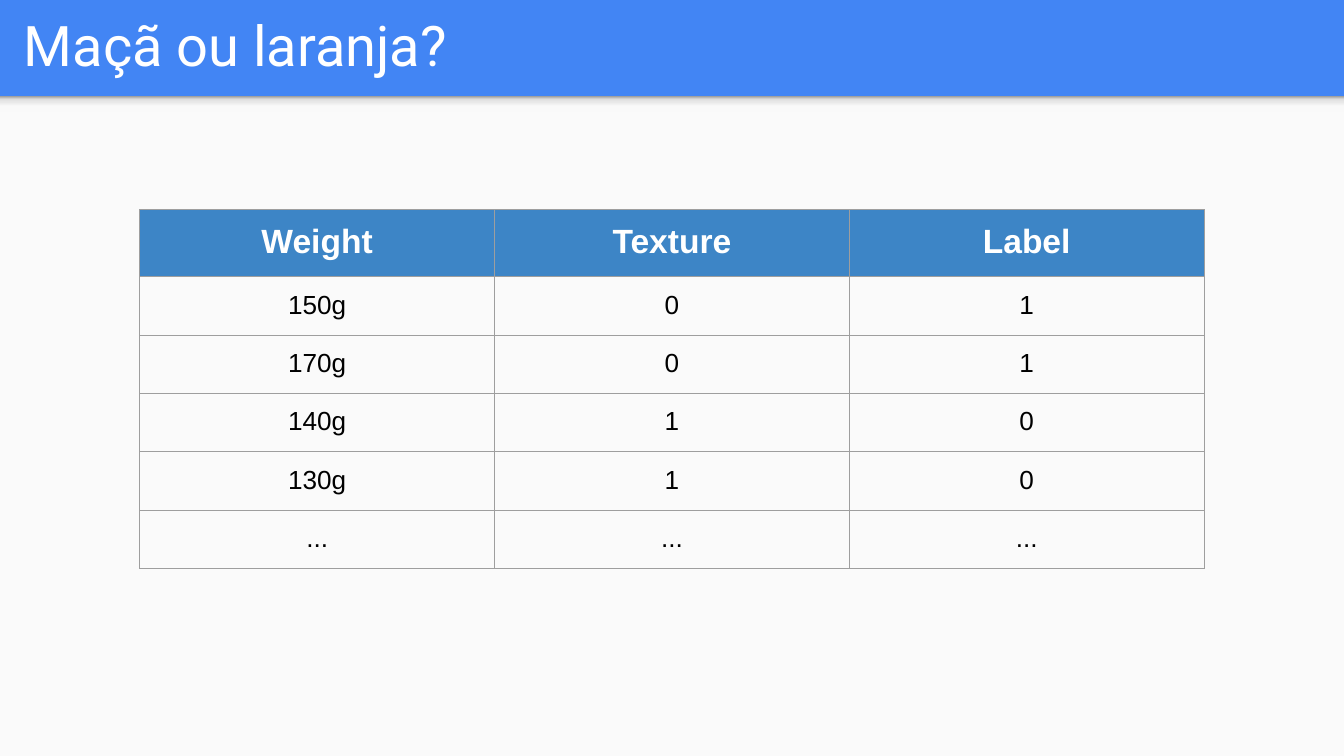
from lxml import etree
from pptx import Presentation
from pptx import util as u
from pptx.dml.color import RGBColor
from pptx.enum import shapes, text
from pptx.oxml import ns

COLORS = {
    "header": "4285F4",
    "body": "FAFAFA",
    "white": "FFFFFF",
    "black": "000000",
    "table_head": "3D85C6",
    "border": "9E9E9E",
}
SHADOW_STOPS = [(0, "999999"), (20, "DEDEDE"), (64, "F9F9F9"), (100, "F9F9F9")]
ROWS = [
    ["Weight", "Texture", "Label"],
    ["150g", "0", "1"],
    ["170g", "0", "1"],
    ["140g", "1", "0"],
    ["130g", "1", "0"],
    ["...", "...", "..."],
]
SLIDE_WIDTH = 10
SLIDE_HEIGHT = SLIDE_WIDTH * 9 / 16
BODY_HEIGHT = 4.91
BODY_TOP = SLIDE_HEIGHT - BODY_HEIGHT
COLUMN_WIDTH = 2.64
ROW_HEIGHT = 5 / 12
TABLE_FRAME = 3.28


def rgb(name):
    return RGBColor.from_string(COLORS[name])


def add_node(parent, tag, **attributes):
    return etree.SubElement(parent, ns.qn(tag), attributes)


def add_span(para, words, font, size, color, bold=False):
    span = para.add_run()
    span.text = words
    span.font.name = font
    span.font.size = u.Pt(size)
    span.font.bold = bold
    span.font.color.rgb = rgb(color)


def add_panel(page, top, height):
    panel = page.shapes.add_shape(
        shapes.MSO_SHAPE.RECTANGLE, 0, u.Inches(top),
        u.Inches(SLIDE_WIDTH), u.Inches(height))
    panel.shadow.inherit = False
    panel.line.fill.background()
    panel.fill.solid()
    panel.fill.fore_color.rgb = rgb("body")
    return panel


def fade_down(panel):
    panel.fill.gradient()
    gradient = panel.fill._xPr.find(ns.qn("a:gradFill"))
    for child in list(gradient):
        gradient.remove(child)
    stops = add_node(gradient, "a:gsLst")
    for position, color in SHADOW_STOPS:
        stop = add_node(stops, "a:gs", pos=str(position * 1000))
        add_node(stop, "a:srgbClr", val=color)
    add_node(gradient, "a:lin", ang="5400000", scaled="0")


def add_title(page, words):
    box = page.shapes.add_textbox(
        u.Inches(0.08), 0, u.Inches(9.65), u.Inches(0.66))
    frame = box.text_frame
    frame.word_wrap = True
    frame.vertical_anchor = text.MSO_ANCHOR.MIDDLE
    frame.margin_left = frame.margin_right = u.Inches(0.1)
    frame.margin_top = frame.margin_bottom = u.Inches(0.1)
    add_span(frame.paragraphs[0], words, "Roboto", 30, "white")


def add_borders(cell):
    properties = cell._tc.get_or_add_tcPr()
    for side in ("a:lnL", "a:lnR", "a:lnT", "a:lnB"):
        line = add_node(properties, side, w=str(u.Pt(0.75)))
        fill = add_node(line, "a:solidFill")
        add_node(fill, "a:srgbClr", val=COLORS["border"])


def fill_cell(cell, words, is_head):
    add_borders(cell)
    if is_head:
        cell.fill.solid()
        cell.fill.fore_color.rgb = rgb("table_head")
    else:
        cell.fill.background()
    cell.margin_left = cell.margin_right = u.Inches(0.1)
    cell.margin_top = cell.margin_bottom = u.Inches(0.1)
    para = cell.text_frame.paragraphs[0]
    para.alignment = text.PP_ALIGN.CENTER
    size, color = (18, "white") if is_head else (14, "black")
    add_span(para, words, "Arial", size, color, bold=is_head)


def add_fruit_table(page):
    frame = page.shapes.add_table(
        len(ROWS), len(ROWS[0]), u.Inches(1.04), u.Inches(1.56),
        u.Inches(TABLE_FRAME), u.Inches(TABLE_FRAME))
    table = frame.table
    table.first_row = False
    table.horz_banding = False
    for column in table.columns:
        column.width = u.Inches(COLUMN_WIDTH)
    for row_index, row in enumerate(ROWS):
        table.rows[row_index].height = u.Inches(ROW_HEIGHT)
        for column_index, words in enumerate(row):
            fill_cell(table.cell(row_index, column_index), words, row_index == 0)
    frame.width = frame.height = u.Inches(TABLE_FRAME)


def main():
    deck = Presentation()
    deck.slide_width = u.Inches(SLIDE_WIDTH)
    deck.slide_height = u.Inches(SLIDE_HEIGHT)
    page = deck.slides.add_slide(deck.slide_layouts[6])
    page.background.fill.solid()
    page.background.fill.fore_color.rgb = rgb("header")
    add_panel(page, BODY_TOP, BODY_HEIGHT)
    fade_down(add_panel(page, BODY_TOP, 0.12))
    add_title(page, "Maçã ou laranja?")
    add_fruit_table(page)
    deck.save("out.pptx")


if __name__ == "__main__":
    main()
